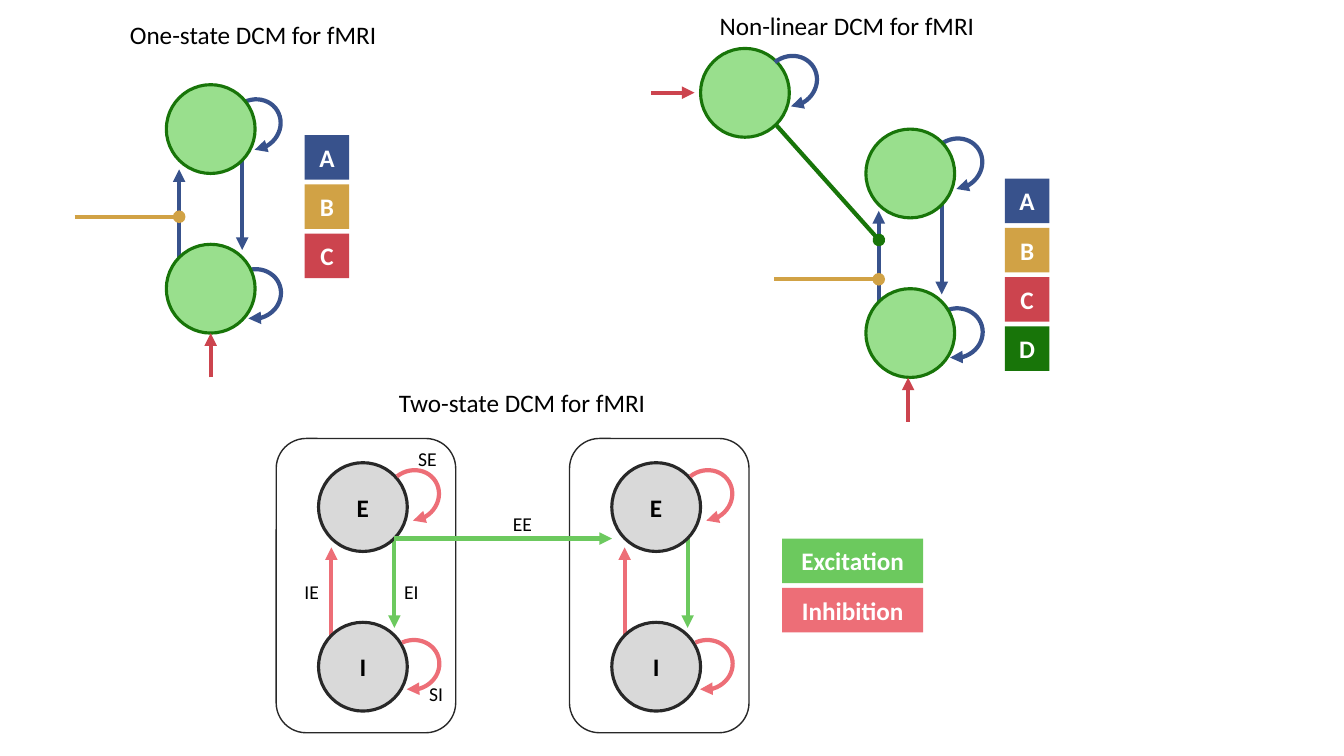
from lxml.etree import SubElement
from pptx import Presentation
from pptx.dml.color import RGBColor
from pptx.enum.shapes import MSO_CONNECTOR, MSO_SHAPE as Preset
from pptx.enum.text import MSO_ANCHOR, MSO_AUTO_SIZE, PP_ALIGN
from pptx.oxml.ns import qn
from pptx.util import Pt

BLACK = RGBColor(0x00, 0x00, 0x00)
WHITE = RGBColor(0xFF, 0xFF, 0xFF)
BLUE = RGBColor(0x38, 0x52, 0x8C)
GOLD = RGBColor(0xD1, 0xA2, 0x45)
RED = RGBColor(0xCC, 0x44, 0x4E)
DARK_GREEN = RGBColor(0x18, 0x75, 0x09)
LIGHT_GREEN = RGBColor(0x99, 0xDF, 0x8D)
EXCITATION = RGBColor(0x6C, 0xC9, 0x5E)
INHIBITION = RGBColor(0xED, 0x6E, 0x77)
GREY = RGBColor(0xD9, 0xD9, 0xD9)
CHARCOAL = RGBColor(0x28, 0x28, 0x28)

FONT = "Calibri"
NODE = 63.4
NODE_STEP = 114
LOOP_STEP = 121
KEY_HEIGHT = 31.8
KEY_STEP = 35.2
FRAME_STEP = 209.5
MATRIX_KEYS = [("A", BLUE), ("B", GOLD), ("C", RED), ("D", DARK_GREEN)]


def style_text(paragraph, text, size, color, bold=False):
    paragraph.text = text
    font = paragraph.font
    font.name, font.size, font.bold = FONT, Pt(size), bold
    font.color.rgb = color


def add_label(slide, left, top, width, height, text, size):
    box = slide.shapes.add_textbox(Pt(left), Pt(top), Pt(width), Pt(height))
    frame = box.text_frame
    frame.word_wrap = False
    frame.auto_size = MSO_AUTO_SIZE.SHAPE_TO_FIT_TEXT
    style_text(frame.paragraphs[0], text, size, BLACK)


def add_block(slide, preset, left, top, width, height, fill=None, line=None,
              weight=2.25, text="", color=BLACK):
    shape = slide.shapes.add_shape(preset, Pt(left), Pt(top), Pt(width), Pt(height))
    shape.shadow.inherit = False
    if fill is None:
        shape.fill.background()
    else:
        shape.fill.solid()
        shape.fill.fore_color.rgb = fill
    if line is None:
        shape.line.fill.background()
    else:
        shape.line.color.rgb = line
        shape.line.width = Pt(weight)
    if text:
        shape.text_frame.vertical_anchor = MSO_ANCHOR.MIDDLE
        paragraph = shape.text_frame.paragraphs[0]
        paragraph.alignment = PP_ALIGN.CENTER
        style_text(paragraph, text, 18, color, bold=True)
    return shape


def add_tip(shape, tip):
    SubElement(shape.get_or_add_ln(), qn("a:tailEnd"), type=tip)


def add_arrow(slide, x1, y1, x2, y2, color, tip="triangle"):
    arrow = slide.shapes.add_connector(
        MSO_CONNECTOR.STRAIGHT, Pt(x1), Pt(y1), Pt(x2), Pt(y2))
    arrow.line.color.rgb = color
    arrow.line.width = Pt(3)
    add_tip(arrow, tip)
    SubElement(arrow.element.spPr, qn("a:effectLst"))


def add_loop(slide, left, top, color, rotation=58.7):
    arc = add_block(slide, Preset.ARC, left, top, 35.3, 38.2, line=color, weight=3)
    arc.adjustments[0], arc.adjustments[1] = 102.781, 18.491
    arc.rotation = rotation
    add_tip(arc, "triangle")


def add_loops(slide, left, top, color):
    add_loop(slide, left, top + LOOP_STEP, color, 73.1)
    add_loop(slide, left, top, color)


def add_pair(slide, left, top, up, down, fill, outline, names=("", ""), lift=0):
    add_arrow(slide, left + 9.2, top + 129 - lift, left + 9.2, top + 60.5 - lift, up)
    add_arrow(slide, left + 54.2, top + 49, left + 54.2, top + 118, down)
    for row, name in enumerate(names):
        add_block(slide, Preset.OVAL, left, top + row * NODE_STEP, NODE, NODE,
                  fill, outline, text=name)


def add_modulated_pair(slide, left, top, modulator, input_x, lift=0):
    add_pair(slide, left, top, BLUE, BLUE, LIGHT_GREEN, DARK_GREEN, lift=lift)
    add_arrow(slide, left + input_x, top + 209, left + input_x, top + 177.5, RED)
    add_arrow(slide, left - 65.5, top + modulator, left + 9.2, top + modulator,
              GOLD, "oval")


def add_legend(slide, left, top, width, keys):
    for row, (name, color) in enumerate(keys):
        add_block(slide, Preset.RECTANGLE, left, top + row * KEY_STEP, width,
                  KEY_HEIGHT, color, text=name, color=WHITE)


def one_state(slide, left, top):
    add_loops(slide, left + 110.8, top + 59.8, BLUE)
    add_modulated_pair(slide, left + 65.5, top + 50.4, 94.3, 31.7)
    add_legend(slide, left + 164.4, top + 86.4, KEY_HEIGHT, MATRIX_KEYS[:3])
    add_label(slide, left + 32.4, top, 192.2, 28.8, "One-state DCM for fMRI", 18)


def non_linear(slide, left, top):
    add_loops(slide, left + 200.2, top + 94.3, BLUE)
    add_modulated_pair(slide, left + 153.4, top + 88.6, 107.3, 30.2, lift=2)
    add_block(slide, Preset.OVAL, left + 35.3, top + 31, NODE, NODE,
              LIGHT_GREEN, DARK_GREEN)
    add_legend(slide, left + 252.7, top + 124, KEY_HEIGHT, MATRIX_KEYS)
    add_arrow(slide, left + 89.3, top + 85.7, left + 162.7, top + 167.8,
              DARK_GREEN, "oval")
    add_arrow(slide, left, top + 62.6, left + 31, top + 62.6, RED)
    add_loop(slide, left + 82.1, top + 35.3, BLUE)
    add_label(slide, left + 41.8, top, 198.7, 28.8, "Non-linear DCM for fMRI", 18)


def two_state(slide, left, top):
    for frame_left in (left, left + FRAME_STEP):
        add_pair(slide, frame_left + 30.2, top + 57.6, INHIBITION, EXCITATION,
                 GREY, CHARCOAL, ("E", "I"))
        add_loops(slide, frame_left + 79.9, top + 61.9, INHIBITION)
        add_block(slide, Preset.ROUNDED_RECTANGLE, frame_left, top + 40.3,
                  128.2, 210.2, line=CHARCOAL, weight=1)
    add_legend(slide, left + 361.4, top + 111.8, 100.8,
               [("Excitation", EXCITATION), ("Inhibition", INHIBITION)])
    add_arrow(slide, left + 84.4, top + 111.8, left + 239.8, top + 111.8, EXCITATION)
    for name, x, y, width in [("SE", 94.3, 42.5, 28), ("EE", 162, 89.3, 28),
                              ("SI", 102.2, 211, 24.5), ("IE", 13, 137.5, 25.2),
                              ("EI", 84.2, 137.5, 25.2)]:
        add_label(slide, left + x, top + y, width, 24.5, name, 14)
    add_label(slide, left + 80.6, top, 192.2, 28.8, "Two-state DCM for fMRI", 18)


def main():
    presentation = Presentation()
    presentation.slide_width, presentation.slide_height = Pt(960), Pt(540)
    slide = presentation.slides.add_slide(presentation.slide_layouts[6])
    one_state(slide, 53.3, 10.1)
    non_linear(slide, 465.1, 3.6)
    two_state(slide, 197.3, 272.9)
    presentation.save("out.pptx")


if __name__ == "__main__":
    main()
